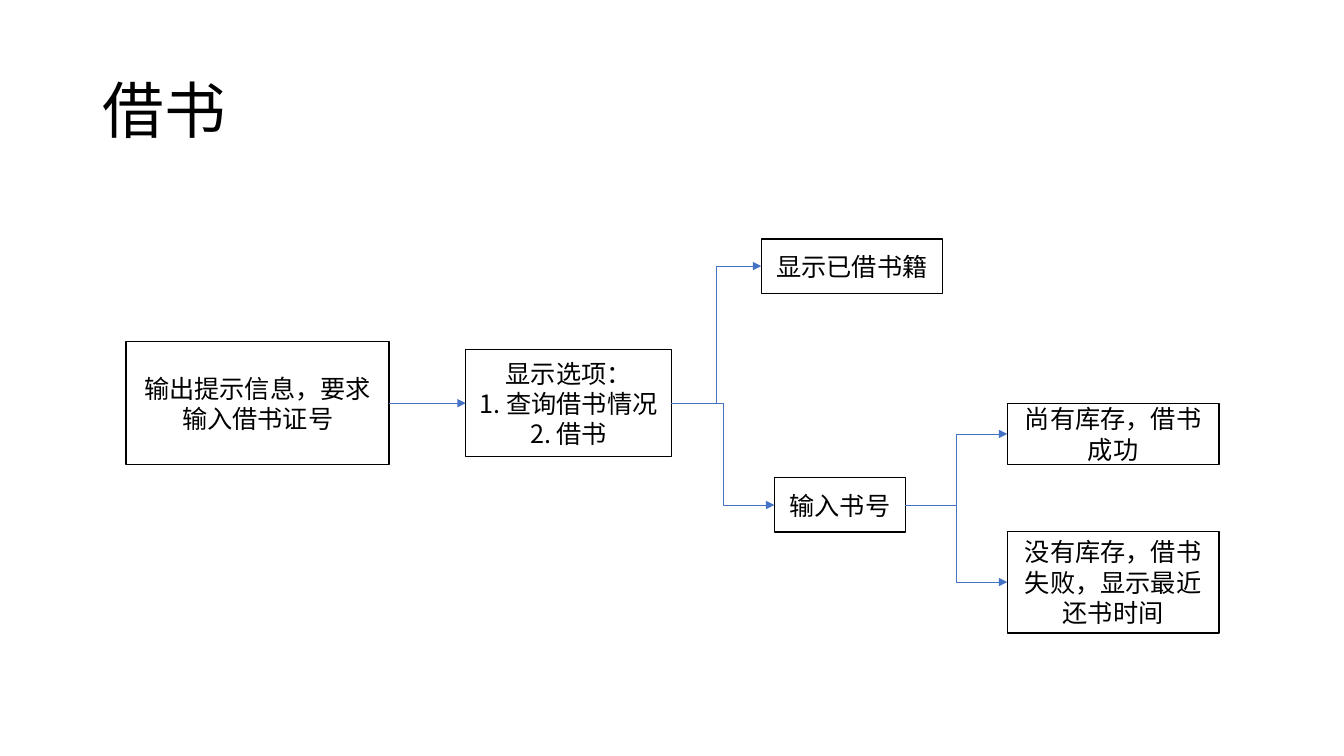
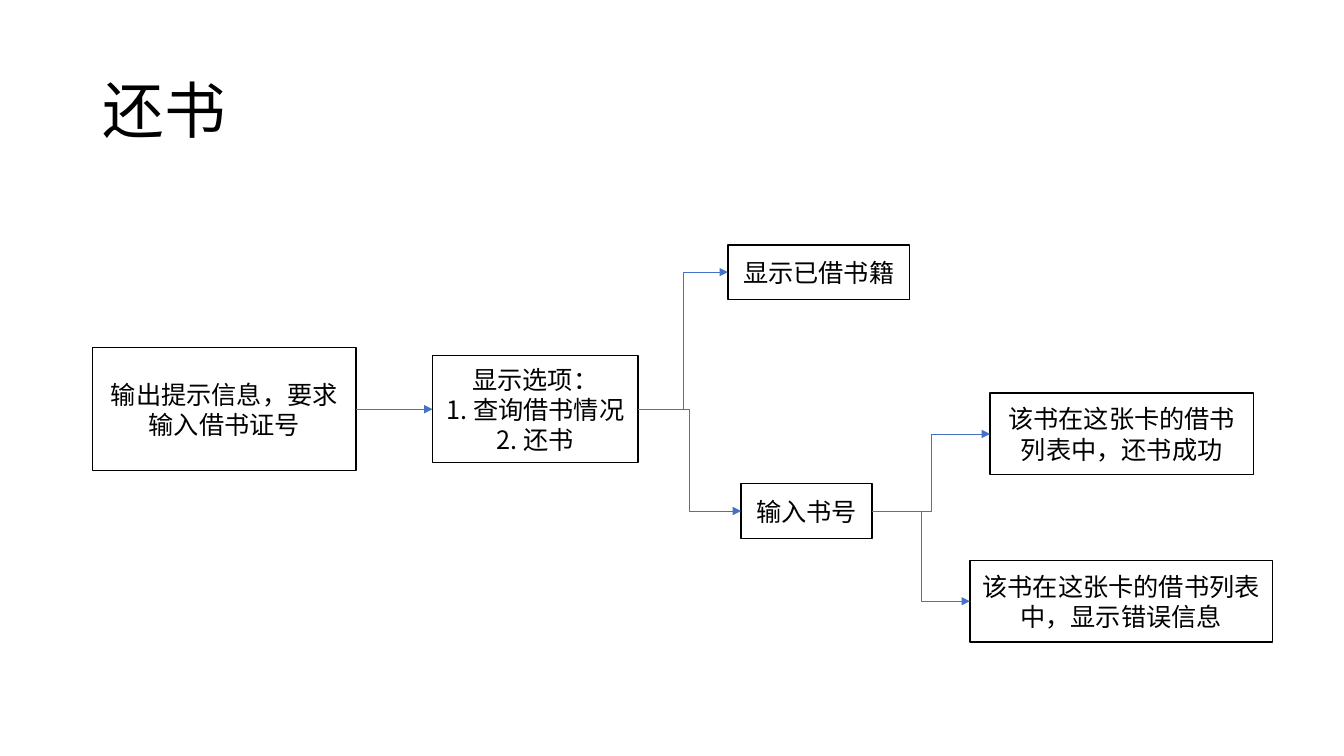
from dataclasses import dataclass

from lxml import etree
from pptx import Presentation
from pptx.dml.color import RGBColor
from pptx.enum.shapes import MSO_CONNECTOR, MSO_SHAPE
from pptx.enum.text import MSO_ANCHOR, PP_ALIGN
from pptx.oxml.ns import qn
from pptx.util import Inches, Pt

RECT = MSO_SHAPE.RECTANGLE
ELBOW = MSO_CONNECTOR.ELBOW
MIDDLE = MSO_ANCHOR.MIDDLE
LEFT, CENTER = PP_ALIGN.LEFT, PP_ALIGN.CENTER
LEFT_SITE, RIGHT_SITE = 1, 3


@dataclass(frozen=True)
class Theme:
    """Colours, font, type sizes and line widths of the deck."""
    font: str = "Noto Sans CJK SC"
    ink: RGBColor = RGBColor(0x00, 0x00, 0x00)
    paper: RGBColor = RGBColor(0xFF, 0xFF, 0xFF)
    arrow: RGBColor = RGBColor(0x44, 0x72, 0xC4)
    title_size: int = 44
    body_size: int = 18
    box_line: float = 1
    arrow_line: float = 0.5


THEME = Theme()

# Steps that both flows share: left, top, width, height
COMMON_STEPS = {
    "prompt": (1.25, 3.39, 2.61, 1.22),
    "options": (4.62, 3.47, 2.04, 1.06),
    "borrowed": (7.55, 2.37, 1.8, 0.54),
    "book": (7.68, 4.74, 1.3, 0.54),
}
LINKS = [
    ("prompt", "options"),
    ("options", "borrowed"),
    ("options", "book"),
    ("book", "success"),
    ("book", "failure"),
]


def add_text(tf, lines, size, align):
    """Fill a text frame with one paragraph per line."""
    tf.word_wrap = True
    tf.vertical_anchor = MIDDLE
    for i, line in enumerate(lines):
        p = tf.paragraphs[0] if i == 0 else tf.add_paragraph()
        p.alignment = align
        r = p.add_run()
        r.text = line
        r.font.size = Pt(size)
        r.font.name = THEME.font
        r.font.color.rgb = THEME.ink
        ea = etree.SubElement(r.font._element, qn("a:ea"))
        ea.set("typeface", THEME.font)


def add_title(s, text):
    """Add the slide title."""
    sp = s.shapes.add_textbox(Inches(0.92), Inches(0.4), Inches(11.5), Inches(1.45))
    add_text(sp.text_frame, [text], THEME.title_size, LEFT)
    sp.text_frame.paragraphs[0].line_spacing = 0.9


def add_step(s, place, lines):
    """Add one outlined step of the flow."""
    sp = s.shapes.add_shape(RECT, *(Inches(v) for v in place))
    sp.shadow.inherit = False
    sp.fill.solid()
    sp.fill.fore_color.rgb = THEME.paper
    sp.line.color.rgb = THEME.ink
    sp.line.width = Pt(THEME.box_line)
    add_text(sp.text_frame, lines, THEME.body_size, CENTER)
    return sp


def add_arrow(s, source, target):
    """Join the right side of one step to the left side of the next."""
    cx = s.shapes.add_connector(ELBOW, 0, 0, 0, 0)
    cx.begin_connect(source, RIGHT_SITE)
    cx.end_connect(target, LEFT_SITE)
    cx.line.color.rgb = THEME.arrow
    cx.line.width = Pt(THEME.arrow_line)
    etree.SubElement(cx.line._get_or_add_ln(), qn("a:tailEnd")).set("type", "triangle")
    etree.SubElement(cx._element.spPr, qn("a:effectLst"))


def add_flow(prs, action, shift, outcomes):
    """Add a slide with the flow of one action and its two outcomes."""
    s = prs.slides.add_slide(prs.slide_layouts[6])
    add_title(s, action)
    texts = {
        "prompt": ["输出提示信息，要求输入借书证号"],
        "options": ["显示选项：", f"1. 查询借书情况 2. {action}"],
        "borrowed": ["显示已借书籍"],
        "book": ["输入书号"],
    }
    dx, dy = shift
    steps = {}
    for name, (x, y, w, h) in COMMON_STEPS.items():
        steps[name] = add_step(s, (x + dx, y + dy, w, h), texts[name])
    for name, (place, text) in outcomes.items():
        steps[name] = add_step(s, place, [text])
    for source, target in LINKS:
        add_arrow(s, steps[source], steps[target])


def main():
    """Build the borrowing and returning slides."""
    prs = Presentation()
    prs.slide_width, prs.slide_height = Inches(13.33), Inches(7.5)
    add_flow(prs, "借书", (0, 0), {
        "success": ((9.99, 4, 2.1, 0.61), "尚有库存，借书成功"),
        "failure": ((9.99, 5.27, 2.1, 1.01), "没有库存，借书失败，显示最近还书时间"),
    })
    add_flow(prs, "还书", (-0.33, 0.06), {
        "success": ((9.82, 3.9, 2.61, 0.81), "该书在这张卡的借书列表中，还书成功"),
        "failure": ((9.62, 5.56, 3, 0.81), "该书在这张卡的借书列表中，显示错误信息"),
    })
    prs.save("out.pptx")


main()
